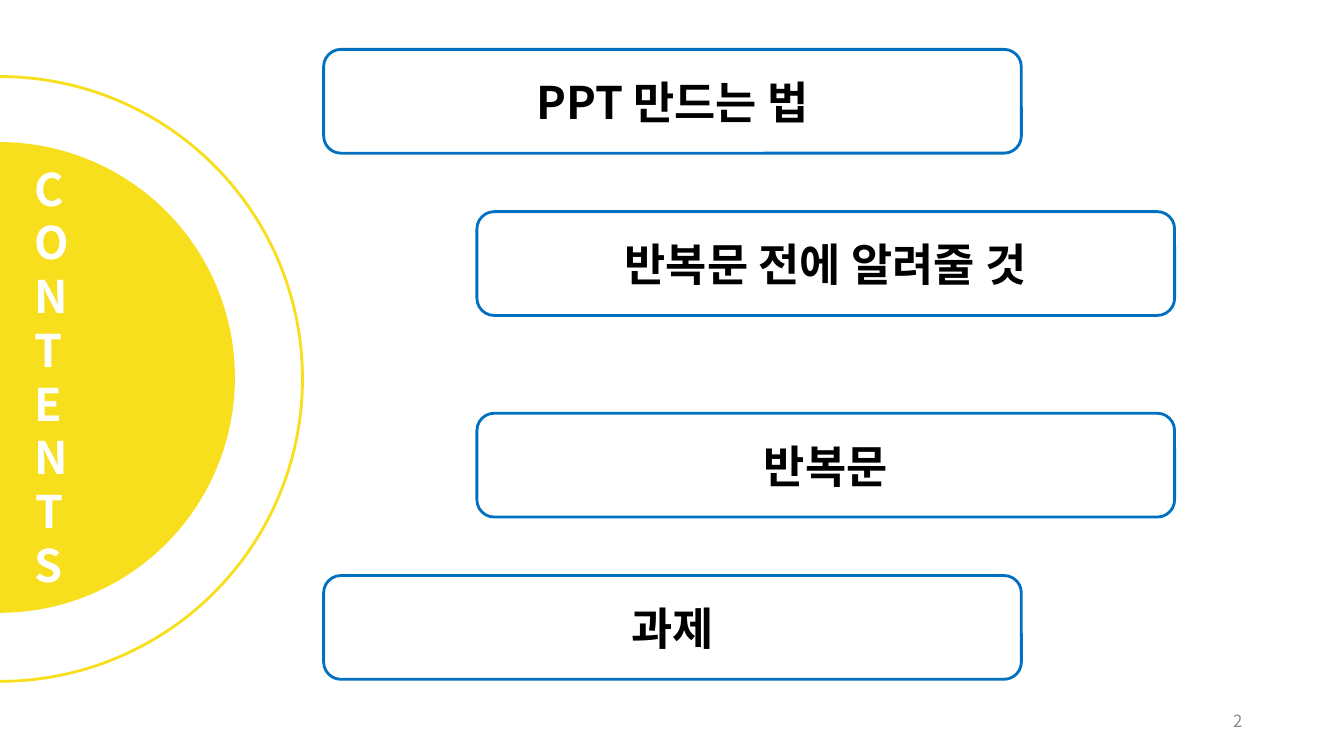
from lxml.etree import SubElement
from pptx import Presentation
from pptx.dml.color import RGBColor
from pptx.enum.shapes import MSO_SHAPE
from pptx.enum.text import MSO_ANCHOR, MSO_AUTO_SIZE, PP_ALIGN
from pptx.oxml.ns import qn
from pptx.util import Pt

PX = 9144
FONT = "Noto Sans CJK KR"
COLORS = {
    "yellow": "F7DF1E",
    "blue": "0070C0",
    "white": "FFFFFF",
    "black": "000000",
    "gray": "8C8C8C",
}
TOPICS = ["PPT 만드는 법", "반복문 전에 알려줄 것", "반복문", "과제"]


def color(name):
    return RGBColor.from_string(COLORS[name])


def scaled(*lengths):
    return [length * PX for length in lengths]


def write(shape, text, size, ink, align, bold=False):
    frame = shape.text_frame
    frame.word_wrap = True
    para = frame.paragraphs[0]
    para.alignment = align
    span = para.add_run()
    span.text = text
    font = span.font
    font.size = Pt(size)
    font.bold = bold
    font.color.rgb = color(ink)
    font.name = FONT
    SubElement(span._r.get_or_add_rPr(), qn("a:ea"), typeface=FONT)
    return frame


def add_figure(page, kind, box, fill=None, line=None):
    shape = page.shapes.add_shape(kind, *scaled(*box))
    shape.shadow.inherit = False
    if fill:
        shape.fill.solid()
        shape.fill.fore_color.rgb = color(fill)
    else:
        shape.fill.background()
    if line:
        shape.line.color.rgb = color(line)
        shape.line.width = Pt(2)
    else:
        shape.line.fill.background()
    return shape


def add_emblem(page, box):
    left, top, width, height = box
    disc = 467
    add_figure(page, MSO_SHAPE.OVAL,
               (left + (width - disc) // 2, top + 65, disc, disc), fill="yellow")
    title = page.shapes.add_textbox(*scaled(left + 324, top + 79, 48, 441))
    frame = write(title, "CONTENTS", 32, "white", PP_ALIGN.CENTER, bold=True)
    frame.auto_size = MSO_AUTO_SIZE.SHAPE_TO_FIT_TEXT
    add_figure(page, MSO_SHAPE.OVAL, box, line="yellow")


def add_topics(page, box):
    left, top, width, height = box
    card_width, card_height, step = 692, 103, 161
    indent = width - card_width
    last = height - card_height
    places = [(0, 0), (indent, step), (indent, last - step), (0, last)]
    for topic, (shift, drop) in zip(TOPICS, places):
        card = add_figure(page, MSO_SHAPE.ROUNDED_RECTANGLE,
                          (left + shift, top + drop, card_width, card_height),
                          fill="white", line="blue")
        frame = write(card, topic, 32, "black", PP_ALIGN.CENTER, bold=True)
        frame.vertical_anchor = MSO_ANCHOR.MIDDLE


def add_page_number(page, box):
    number = page.shapes.add_textbox(*scaled(*box))
    frame = write(number, "2", 12, "gray", PP_ALIGN.RIGHT)
    frame.vertical_anchor = MSO_ANCHOR.MIDDLE


def main():
    deck = Presentation()
    deck.slide_width, deck.slide_height = scaled(1333, 750)
    page = deck.slides.add_slide(deck.slide_layouts[6])
    add_emblem(page, (-300, 76, 600, 600))
    add_topics(page, (321, 49, 844, 625))
    add_page_number(page, (942, 695, 300, 40))
    deck.save("out.pptx")


if __name__ == "__main__":
    main()
